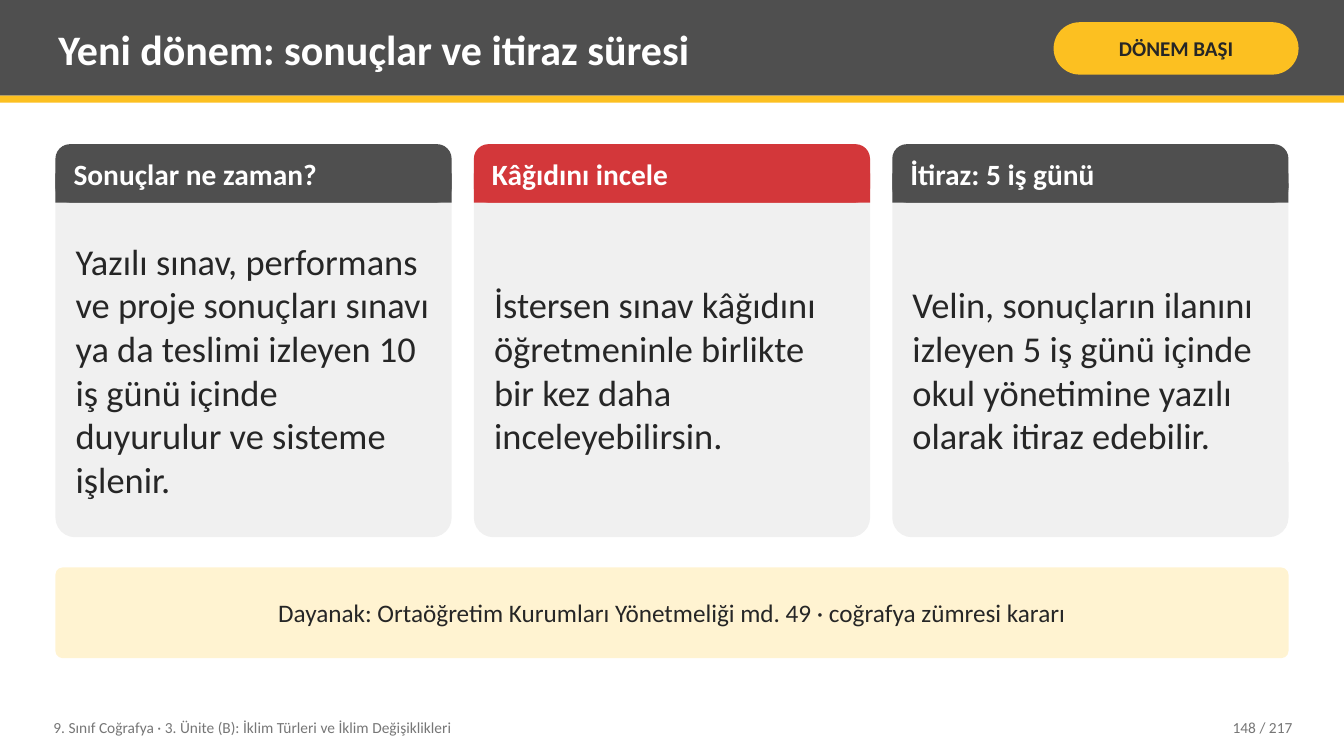
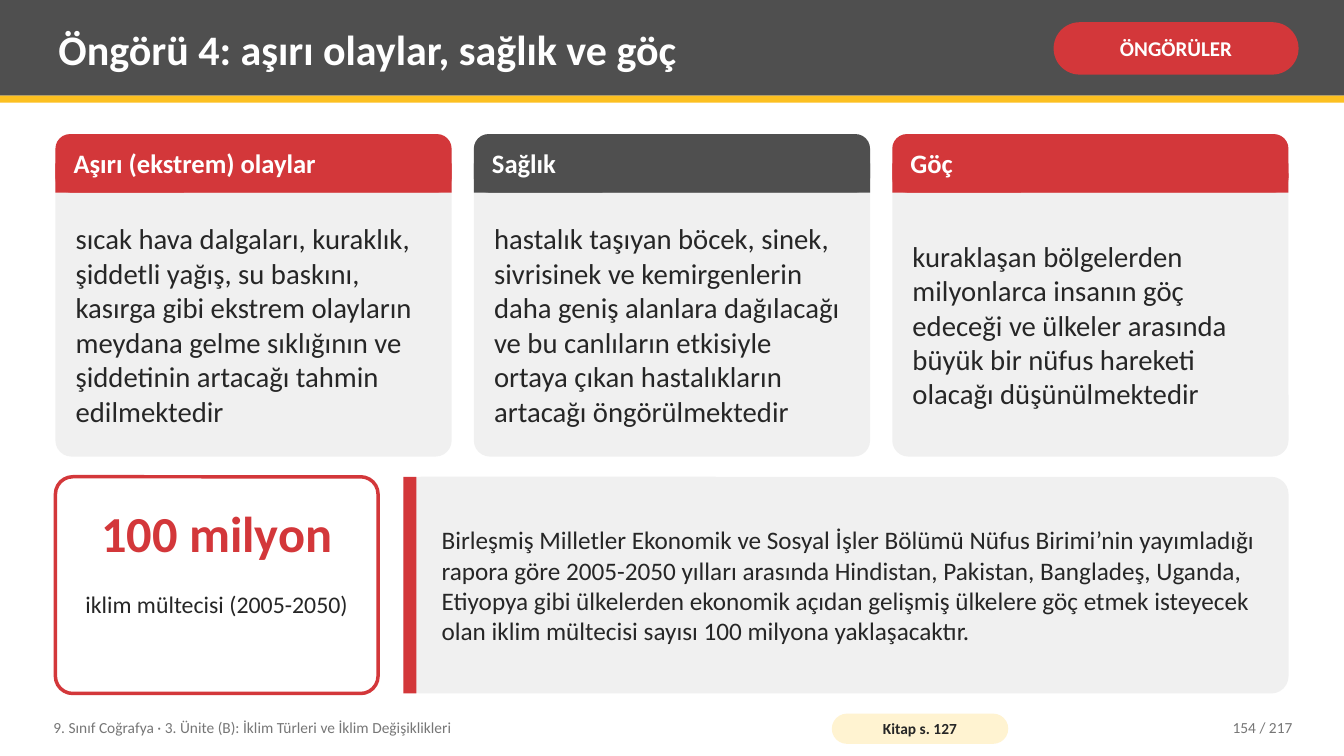
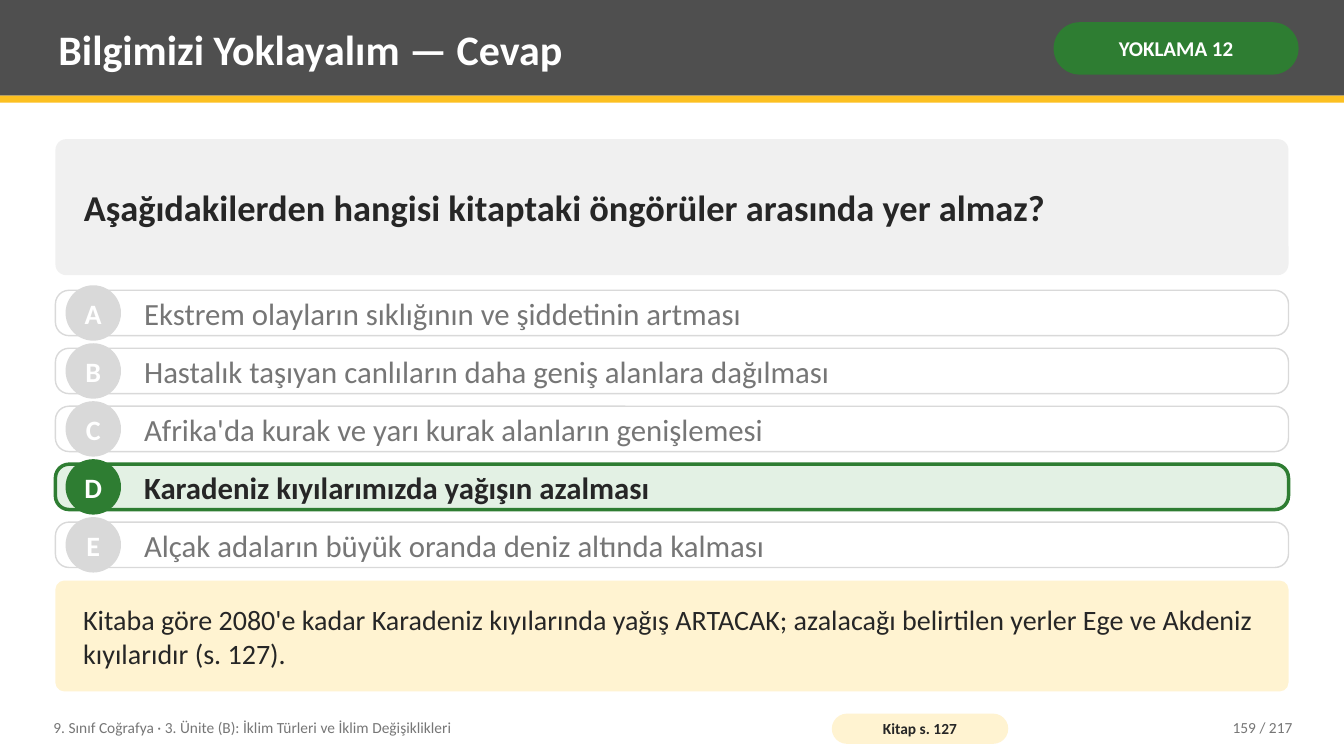
from pptx import Presentation
from pptx.dml.color import RGBColor
from pptx.enum.shapes import MSO_SHAPE as Shape
from pptx.enum.text import MSO_ANCHOR as Anchor, PP_ALIGN as Align
from pptx.util import Inches, Pt

SLIDE_W, SLIDE_H = 13.33, 7.5
LEFT, WIDTH, GAP = 0.55, 12.23, 0.22
HEADER_H, STRIPE_H = 0.95, 0.07
CARD_HEAD_H = 0.58
FONT = "Calibri"
CHARCOAL, YELLOW, RED, GREEN = "4F4F4F", "FCC021", "D3373A", "2E7D32"
INK, MUTED, WHITE = "262626", "767676", "FFFFFF"
PANEL, CREAM, MINT, SILVER = "F0F0F0", "FFF3D1", "E3F1E4", "D9D9D9"
TEXT_INSETS = (0.08, 0.04)
FOOTER = "9. Sınıf Coğrafya · 3. Ünite (B): İklim Türleri ve İklim Değişiklikleri"


def rgb(value):
    """Turn a hex string into a colour."""
    return RGBColor.from_string(value)


def columns(count):
    """Return the left edges and the common width of equal columns."""
    width = (WIDTH - GAP * (count - 1)) / count
    return [LEFT + i * (width + GAP) for i in range(count)], width


def write(box, text, size, color=INK, bold=False, align=Align.LEFT,
          anchor=Anchor.MIDDLE, insets=TEXT_INSETS, wrap=True):
    """Put one formatted paragraph into a box."""
    across, down = (Inches(inset) for inset in insets)
    frame_format = {"word_wrap": wrap, "vertical_anchor": anchor,
                    "margin_left": across, "margin_right": across,
                    "margin_top": down, "margin_bottom": down}
    frame = box.text_frame
    for name, value in frame_format.items():
        setattr(frame, name, value)
    para = frame.paragraphs[0]
    para.alignment = align
    span = para.add_run()
    span.text = text
    for name, value in {"name": FONT, "size": Pt(size), "bold": bold}.items():
        setattr(span.font, name, value)
    span.font.color.rgb = rgb(color)


def add_text(slide, at, text, size, **style):
    """Add a text box."""
    write(slide.shapes.add_textbox(*map(Inches, at)), text, size, **style)


def add_block(slide, at, fill, kind=Shape.RECTANGLE, line=None, weight=1):
    """Add a flat filled shape, outlined if a line colour is given."""
    block = slide.shapes.add_shape(kind, *map(Inches, at))
    block.shadow.inherit = False
    block.fill.solid()
    block.fill.fore_color.rgb = rgb(fill)
    if line:
        block.line.color.rgb = rgb(line)
        block.line.width = Pt(weight)
    else:
        block.line.fill.background()
    return block


def add_rounded(slide, at, fill, radius=0.08, **outline):
    """Add a flat rounded rectangle."""
    block = add_block(slide, at, fill, Shape.ROUNDED_RECTANGLE, **outline)
    block.adjustments[0] = radius
    return block


def add_page(deck, title, tag, tag_fill, number, tag_color=WHITE, source=None):
    """Add a slide with its title band, tag and footer."""
    slide = deck.slides.add_slide(deck.slide_layouts[6])
    add_block(slide, (0, 0, SLIDE_W, HEADER_H), CHARCOAL)
    add_block(slide, (0, HEADER_H, SLIDE_W, STRIPE_H), YELLOW)
    add_text(slide, (0.5, 0.07, 9.75, 0.82), title, 30, color=WHITE, bold=True)
    pill = add_rounded(slide, (10.45, 0.22, 2.43, 0.52), tag_fill, 0.5)
    write(pill, tag, 15, tag_color, True, Align.CENTER, insets=(0.05, 0.02))
    add_text(slide, (0.45, 7.04, 7.6, 0.36), FOOTER, 11, color=MUTED)
    if source:
        pill = add_rounded(slide, (8.25, 7.08, 1.75, 0.3), CREAM, 0.5)
        write(pill, source, 11, INK, True, Align.CENTER, insets=(0.04, 0))
    add_text(slide, (11.3, 7.04, 1.6, 0.36), f"{number} / 217", 11,
             color=MUTED, align=Align.RIGHT)
    return slide


def add_card(slide, left, top, width, height, card, head_size, body_size):
    """Add a panel with a coloured heading and a body text."""
    heading, fill, body = card
    half = CARD_HEAD_H / 2
    add_rounded(slide, (left, top, width, height), PANEL, 0.05)
    add_rounded(slide, (left, top, width, CARD_HEAD_H), fill, 0.25)
    add_block(slide, (left, top + half, width, half), fill)
    add_text(slide, (left + 0.1, top, width - 0.2, CARD_HEAD_H), heading,
             head_size, color=WHITE, bold=True)
    add_text(slide, (left + 0.12, top + CARD_HEAD_H + 0.08, width - 0.24,
                     height - CARD_HEAD_H - 0.16), body, body_size)


def add_cards(slide, top, height, cards, head_size, body_size):
    """Add a row of equal cards."""
    lefts, width = columns(len(cards))
    for left, card in zip(lefts, cards):
        add_card(slide, left, top, width, height, card, head_size, body_size)


def add_banner(slide, top, height, fill, text, size, inset=0.25, **style):
    """Add a full-width rounded panel with text."""
    banner = add_rounded(slide, (LEFT, top, WIDTH, height), fill)
    write(banner, text, size, insets=(inset, 0.08), **style)


def add_figure(slide, left, top, width, height, figure, caption):
    """Add an outlined box with a large figure above its caption."""
    add_rounded(slide, (left, top, width, height), WHITE, line=RED, weight=2.5)
    add_text(slide, (left + 0.1, top + 0.06, width - 0.2, height * 0.46),
             figure, 36, color=RED, bold=True, align=Align.CENTER,
             insets=(0.08, 0))
    add_text(slide, (left + 0.12, top + height / 2, width - 0.24,
                     height * 0.47), caption, 17,
             align=Align.CENTER, anchor=Anchor.TOP)


def add_callout(slide, left, top, width, height, text):
    """Add a panel with an accent bar on its left."""
    add_rounded(slide, (left, top, width, height), PANEL)
    add_block(slide, (left, top, 0.13, height), RED)
    add_text(slide, (left + 0.3, top, width - 0.45, height), text, 18)


def add_option(slide, top, height, letter, text, correct):
    """Add an answer row, highlighted when it is the correct one."""
    accent = GREEN if correct else SILVER
    disc = 0.55
    add_rounded(slide, (LEFT, top, WIDTH, height), MINT if correct else WHITE,
                0.3, line=accent, weight=2.5 if correct else 1)
    badge = add_block(slide, (LEFT + 0.1, top + (height - disc) / 2, disc, disc),
                      accent, Shape.OVAL)
    write(badge, letter, 20, WHITE, True, Align.CENTER, insets=(0, 0), wrap=False)
    add_text(slide, (LEFT + 0.8, top, WIDTH - 1, height), text, 22,
             color=INK if correct else MUTED, bold=correct)


def add_options(slide, top, bottom, height, options, answer):
    """Spread the lettered answer rows evenly between top and bottom."""
    pitch = (bottom - top - height) / (len(options) - 1)
    for i, (letter, text) in enumerate(zip("ABCDE", options)):
        add_option(slide, top + i * pitch, height, letter, text, letter == answer)


def build_appeals(deck):
    """Build the slide on results and appeals."""
    slide = add_page(deck, "Yeni dönem: sonuçlar ve itiraz süresi",
                     "DÖNEM BAŞI", YELLOW, 148, tag_color=INK)
    add_cards(slide, 1.43, 3.9, [
        ("Sonuçlar ne zaman?", CHARCOAL,
         "Yazılı sınav, performans ve proje sonuçları sınavı ya da teslimi "
         "izleyen 10 iş günü içinde duyurulur ve sisteme işlenir."),
        ("Kâğıdını incele", RED,
         "İstersen sınav kâğıdını öğretmeninle birlikte bir kez daha "
         "inceleyebilirsin."),
        ("İtiraz: 5 iş günü", CHARCOAL,
         "Velin, sonuçların ilanını izleyen 5 iş günü içinde okul yönetimine "
         "yazılı olarak itiraz edebilir."),
    ], 21, 26)
    add_banner(slide, 5.63, 0.9, CREAM,
               "Dayanak: Ortaöğretim Kurumları Yönetmeliği md. 49 · "
               "coğrafya zümresi kararı", 18, inset=0.14, align=Align.CENTER)


def build_forecast(deck):
    """Build the slide on extreme events, health and migration."""
    slide = add_page(deck, "Öngörü 4: aşırı olaylar, sağlık ve göç",
                     "ÖNGÖRÜLER", RED, 154, source="Kitap s. 127")
    add_cards(slide, 1.33, 3.2, [
        ("Aşırı (ekstrem) olaylar", RED,
         "sıcak hava dalgaları, kuraklık, şiddetli yağış, su baskını, kasırga "
         "gibi ekstrem olayların meydana gelme sıklığının ve şiddetinin "
         "artacağı tahmin edilmektedir"),
        ("Sağlık", CHARCOAL,
         "hastalık taşıyan böcek, sinek, sivrisinek ve kemirgenlerin daha "
         "geniş alanlara dağılacağı ve bu canlıların etkisiyle ortaya çıkan "
         "hastalıkların artacağı öngörülmektedir"),
        ("Göç", RED,
         "kuraklaşan bölgelerden milyonlarca insanın göç edeceği ve ülkeler "
         "arasında büyük bir nüfus hareketi olacağı düşünülmektedir"),
    ], 19, 20.5)
    top, height, figure_w, gap = 4.73, 2.15, 3.2, 0.25
    add_figure(slide, LEFT, top, figure_w, height,
               "100 milyon", "iklim mültecisi (2005-2050)")
    add_callout(slide, LEFT + figure_w + gap, top, WIDTH - figure_w - gap, height,
                "Birleşmiş Milletler Ekonomik ve Sosyal İşler Bölümü Nüfus "
                "Birimi’nin yayımladığı rapora göre 2005-2050 yılları arasında "
                "Hindistan, Pakistan, Bangladeş, Uganda, Etiyopya gibi "
                "ülkelerden ekonomik açıdan gelişmiş ülkelere göç etmek "
                "isteyecek olan iklim mültecisi sayısı 100 milyona "
                "yaklaşacaktır.")


def build_quiz(deck):
    """Build the quiz answer slide."""
    slide = add_page(deck, "Bilgimizi Yoklayalım — Cevap",
                     "YOKLAMA 12", GREEN, 159, source="Kitap s. 127")
    add_banner(slide, 1.38, 1.35, PANEL,
               "Aşağıdakilerden hangisi kitaptaki öngörüler arasında yer almaz?",
               26, bold=True)
    add_options(slide, 2.88, 5.63, 0.45, [
        "Ekstrem olayların sıklığının ve şiddetinin artması",
        "Hastalık taşıyan canlıların daha geniş alanlara dağılması",
        "Afrika'da kurak ve yarı kurak alanların genişlemesi",
        "Karadeniz kıyılarımızda yağışın azalması",
        "Alçak adaların büyük oranda deniz altında kalması",
    ], "D")
    add_banner(slide, 5.76, 1.1, CREAM,
               "Kitaba göre 2080'e kadar Karadeniz kıyılarında yağış ARTACAK; "
               "azalacağı belirtilen yerler Ege ve Akdeniz kıyılarıdır "
               "(s. 127).", 20)


def main():
    """Build the deck and save it."""
    deck = Presentation()
    deck.slide_width, deck.slide_height = Inches(SLIDE_W), Inches(SLIDE_H)
    for build in (build_appeals, build_forecast, build_quiz):
        build(deck)
    deck.save("out.pptx")


if __name__ == "__main__":
    main()
